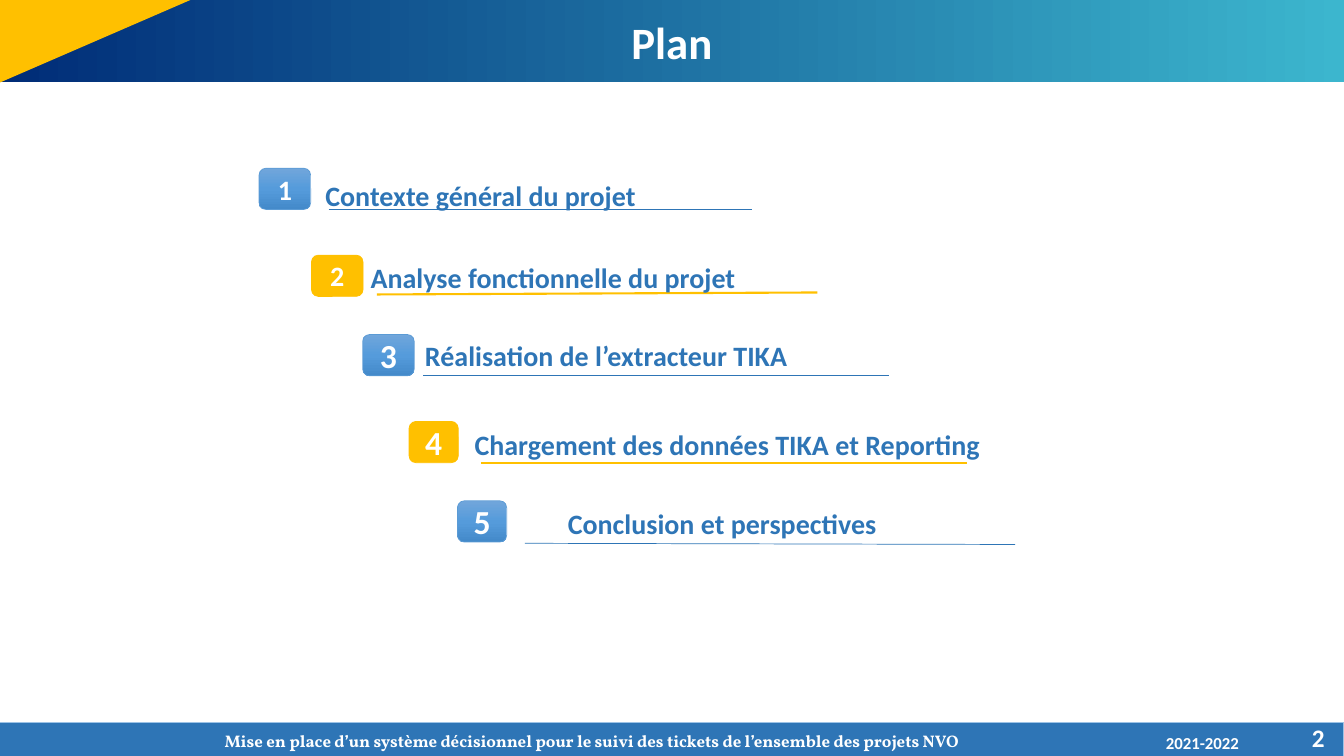
from copy import deepcopy

from lxml.etree import SubElement
from pptx import Presentation
from pptx.dml.color import RGBColor
from pptx.enum.shapes import MSO_CONNECTOR as Connector, MSO_SHAPE as Shape
from pptx.enum.text import MSO_ANCHOR as Anchor, PP_ALIGN as Align
from pptx.oxml.ns import qn
from pptx.util import Cm, Pt

WIDTH, HEIGHT = 33.87, 19.05
COLORS = {"white": "FFFFFF", "blue": "2E75B6", "gold": "FFC000",
          "badge": "5B9BD5", "footer_edge": "9DC3E6"}
HEADER_STOPS = ("002C77", "3CB6CE")
BADGE_STOPS = ("71A6DB", "559BDB", "448ACA")
CHAPTERS = [
    dict(title="Contexte général du projet", box=(6.53, 4.24, 1.3, 1.04), size=20,
         label=(1.42, 0.13, 12.07), rule=(1.75, 1.04, 10.67, 0)),
    dict(title="Analyse fonctionnelle du projet", box=(7.85, 6.43, 1.3, 1.04), size=20,
         label=(1.24, 0, 12.98), rule=(1.65, 0.99, 11.1, -0.05)),
    dict(title="Réalisation de l’extracteur TIKA", box=(9.14, 8.43, 1.3, 1.04), size=24,
         label=(1.32, -0.02, 14.81), rule=(1.53, 1.04, 11.73, 0)),
    dict(title="Chargement des données TIKA et Reporting", box=(10.31, 10.62, 1.24, 1.04),
         size=24, label=(1.4, 0.02, 13.56), rule=(1.81, 1.04, 12.24, 0)),
    dict(title="Conclusion et perspectives", box=(11.53, 12.62, 1.24, 1.04), size=24,
         label=(1.27, 0.03, 13.18), rule=(1.7, 1.07, 12.35, 0.03), inset=1.51),
]


def rgb(name):
    """Return the named palette colour."""
    return RGBColor.from_string(COLORS[name])


def write(shape, text, size, color="white", font="Calibri", align=Align.LEFT, **frame_format):
    """Write one bold line of text into a shape."""
    frame = shape.text_frame
    for name, value in dict(word_wrap=True, **frame_format).items():
        setattr(frame, name, value)
    para = frame.paragraphs[0]
    para.alignment = align
    span = para.add_run()
    span.text = text
    for name, value in dict(name=font, size=Pt(size), bold=True).items():
        setattr(span.font, name, value)
    span.font.color.rgb = rgb(color)


def add_text(page, box, text, size, **style):
    """Add a text box."""
    write(page.shapes.add_textbox(*map(Cm, box)), text, size, **style)


def add_block(page, kind, box, fill=None, line=None, line_width=0.5):
    """Add a flat shape with an optional fill and outline."""
    shape = page.shapes.add_shape(kind, *map(Cm, box))
    shape.shadow.inherit = False
    if fill:
        shape.fill.solid()
        shape.fill.fore_color.rgb = rgb(fill)
    if line:
        shape.line.color.rgb = rgb(line)
        shape.line.width = Pt(line_width)
    else:
        shape.line.fill.background()
    return shape


def paint_gradient(shape, colors, angle):
    """Fill a shape with evenly spaced gradient colours."""
    shape.fill.gradient()
    shape.fill.gradient_angle = angle
    stop_list = shape._element.find(".//" + qn("a:gsLst"))
    for _ in colors[2:]:
        stop_list.insert(1, deepcopy(stop_list[0]))
    for index, (stop, color) in enumerate(zip(shape.fill.gradient_stops, colors)):
        stop.position = index / (len(colors) - 1)
        stop.color.rgb = RGBColor.from_string(color)


def add_header(page, box, title):
    """Draw the title band and its golden corner."""
    left, top, width, height = box
    band = add_block(page, Shape.RECTANGLE, box)
    paint_gradient(band, HEADER_STOPS, 0)
    write(band, title, 32, align=Align.CENTER, vertical_anchor=Anchor.MIDDLE,
          margin_left=0, margin_right=0, margin_top=0, margin_bottom=0)
    builder = page.shapes.build_freeform(Cm(left), Cm(top))
    builder.add_line_segments([(Cm(left + 4.8), Cm(top)), (Cm(left), Cm(top + height))])
    corner = builder.convert_to_shape()
    corner.shadow.inherit = False
    corner.fill.solid()
    corner.fill.fore_color.rgb = rgb("gold")
    corner.line.fill.background()


def add_chapter(page, number, title, box, size, label, rule, inset=0.25):
    """Draw a numbered badge with its title and underline."""
    left, top = box[:2]
    golden = number % 2 == 0
    edge = "gold" if golden else "badge"
    badge = add_block(page, Shape.ROUNDED_RECTANGLE, box, edge, edge)
    if not golden:
        paint_gradient(badge, BADGE_STOPS, 270)
    write(badge, str(number), size, align=Align.CENTER, vertical_anchor=Anchor.MIDDLE)

    start_x, start_y = left + rule[0], top + rule[1]
    underline = page.shapes.add_connector(
        Connector.STRAIGHT, Cm(start_x), Cm(start_y),
        Cm(start_x + rule[2]), Cm(start_y + rule[3]))
    underline.line.color.rgb = rgb("gold" if golden else "blue")
    underline.line.width = Pt(1.5 if golden else 0.5)
    SubElement(underline._element.spPr, qn("a:effectLst"))

    add_text(page, (left + label[0], top + label[1], label[2], 1.11), title, 20,
             color="blue", margin_left=Cm(inset))


def add_footer(page, box):
    """Draw the bottom band with subject, year and page number."""
    left, top = box[:2]
    add_block(page, Shape.RECTANGLE, box, "blue", "footer_edge", 0.75)
    add_text(page, (left + 5.41, top + 0.08, 25.81, 1.27),
             "Mise en place d’un système décisionnel pour le suivi des tickets "
             "de l’ensemble des projets NVO", 12, font="Vollkorn")
    add_text(page, (left + 29.13, top + 0.13, 2.67, 0.76), "2021-2022", 12)
    add_text(page, (left + 31.39, top - 0.15, 2.24, 1.04), "2", 18,
             align=Align.RIGHT, vertical_anchor=Anchor.MIDDLE)


def main():
    """Build and save the plan slide."""
    deck = Presentation()
    deck.slide_width, deck.slide_height = Cm(WIDTH), Cm(HEIGHT)
    page = deck.slides.add_slide(deck.slide_layouts[6])
    add_header(page, (0, 0, WIDTH, 2.08), "Plan")
    for number, chapter in enumerate(CHAPTERS, 1):
        add_chapter(page, number, **chapter)
    add_footer(page, (0, 18.21, WIDTH, 1.04))
    deck.save("out.pptx")


if __name__ == "__main__":
    main()
